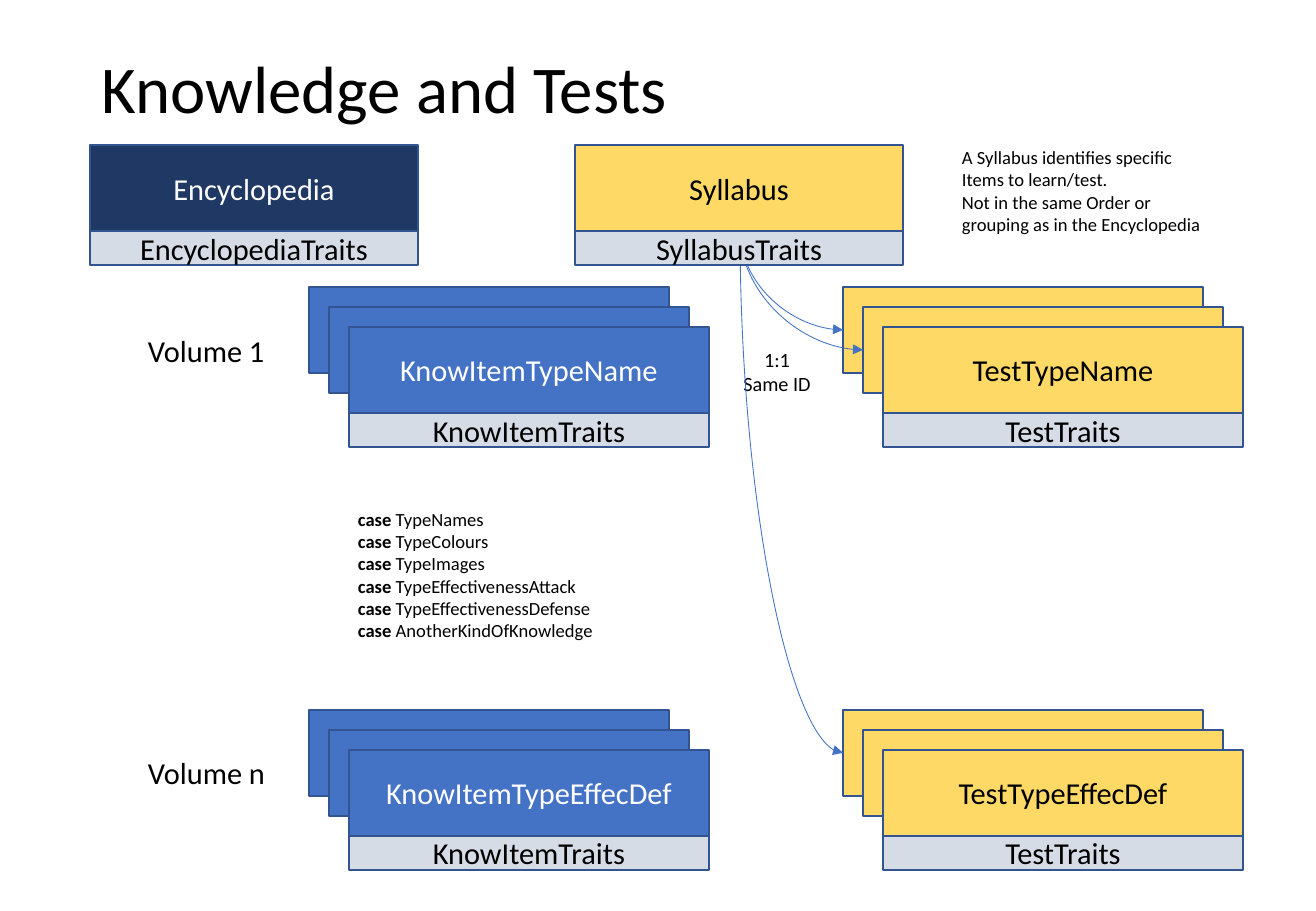
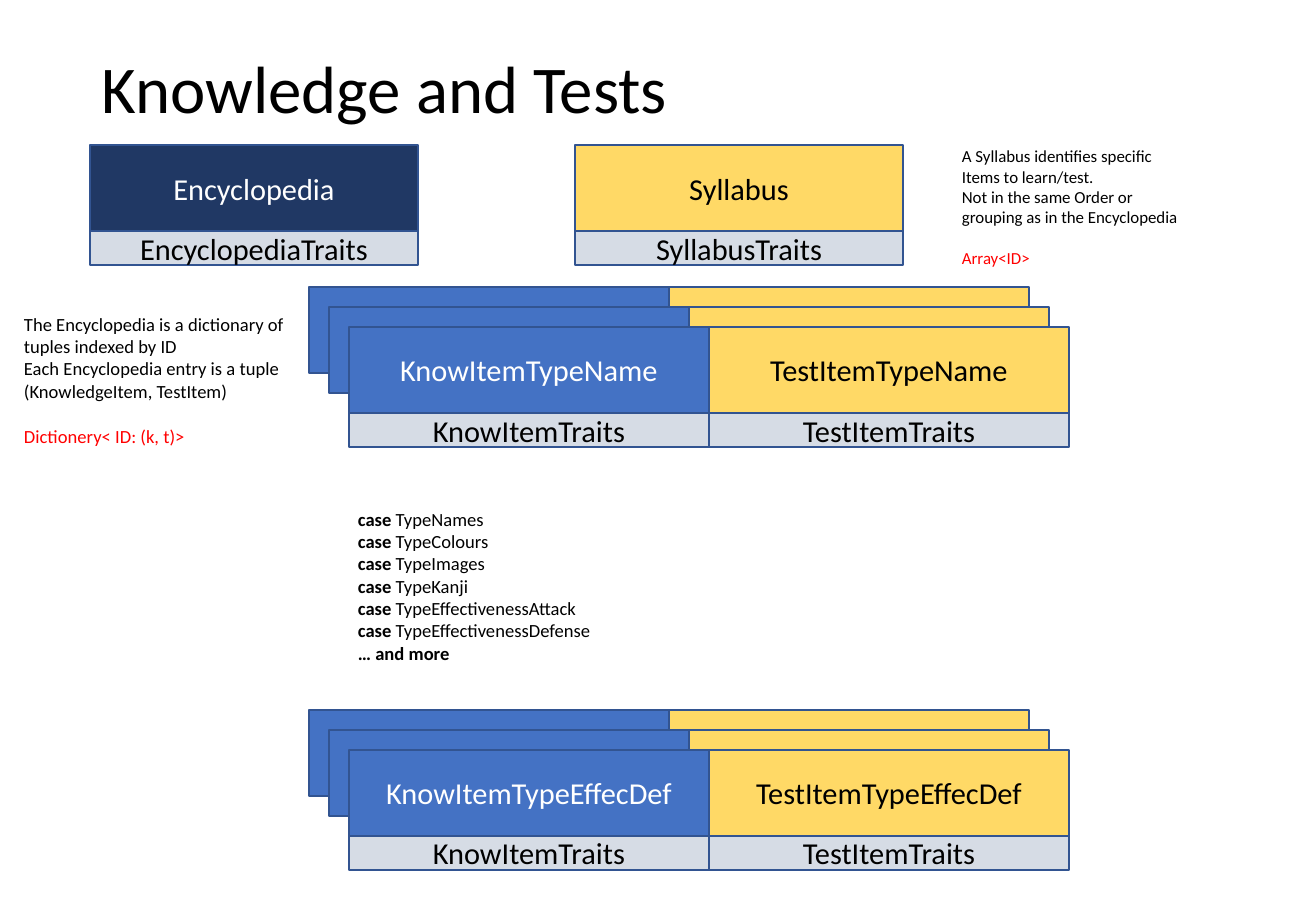
from pptx import Presentation
from pptx.dml.color import RGBColor
from pptx.enum.shapes import MSO_CONNECTOR, MSO_SHAPE
from pptx.enum.text import MSO_ANCHOR as ANCHOR, MSO_AUTO_SIZE as AUTO, PP_ALIGN as ALIGN
from pptx.oxml.ns import qn
from pptx.util import Emu, Pt
from lxml.etree import SubElement

PX = 914400 / 121.5
COLORS = {
    "navy": "203864", "blue": "4472C4", "yellow": "FFD966", "band": "D6DCE5",
    "outline": "325491", "white": "FFFFFF", "black": "000000", "red": "FF0000",
}
RGB = {name: RGBColor.from_string(value) for name, value in COLORS.items()}
CARD_H, BAND_H, STEP = 86, 34, 20
STACK_W, TOP_W = 360, 328
KNOW_X = 309
ROW_TOPS = [287, 710]
CARD_TOP = 145


def write(frame, lines, size=18, color="black", align=None):
    for number, line in enumerate(lines):
        paragraph = frame.paragraphs[0] if number == 0 else frame.add_paragraph()
        paragraph.alignment = align
        for text, bold in ([(line, False)] if isinstance(line, str) else line):
            run = paragraph.add_run()
            run.text = text
            for key, value in {"name": "Calibri", "size": Pt(size), "bold": bold}.items():
                setattr(run.font, key, value)
            run.font.color.rgb = RGB[color]
    return frame.paragraphs


def add_box(slide, bounds, fill=None, lines=(), **text_format):
    box = [Emu(round(length * PX)) for length in bounds]
    if fill:
        shape = slide.shapes.add_shape(MSO_SHAPE.RECTANGLE, *box)
        shape.shadow.inherit = False
        shape.fill.solid()
        shape.fill.fore_color.rgb = RGB[fill]
        shape.line.color.rgb = RGB["outline"]
        shape.line.width = Pt(1)
        text_format["align"] = ALIGN.CENTER
    else:
        shape = slide.shapes.add_textbox(*box)
        frame_format = {"word_wrap": False, "auto_size": AUTO.SHAPE_TO_FIT_TEXT}
        for key, value in frame_format.items():
            setattr(shape.text_frame, key, value)
    write(shape.text_frame, lines, **text_format)
    return shape.text_frame


syllabus_note = [
    "A Syllabus identifies specific", "Items to learn/test.",
    "Not in the same Order or", "grouping as in the Encyclopedia",
]
encyclopedia_note = [
    "The Encyclopedia is a dictionary of", "tuples indexed by ID",
    "Each Encyclopedia entry is a tuple", "(KnowledgeItem, TestItem)",
]
pages = [
    {
        "test_x": 843,
        "tests": ["TestTypeName", "TestTypeEffecDef"],
        "test_traits": "TestTraits",
        "cases": ["TypeNames", "TypeColours", "TypeImages", "TypeEffectivenessAttack",
                  "TypeEffectivenessDefense", "AnotherKindOfKnowledge"],
        "closing": [],
        "labels": [
            ((136, 326, 142, 49), ["Volume 1"], 18, None),
            ((136, 748, 143, 49), ["Volume n"], 18, None),
            ((731, 341, 92, 61), ["1:1", "Same ID"], 12, ALIGN.CENTER),
        ],
        "notes": [((950, 140, 264, 102), syllabus_note, None, 11)],
        "arrow_targets": [(0, 0), (1, 0), (0, 2)],
    },
    {
        "test_x": KNOW_X + STACK_W,
        "tests": ["TestItemTypeName", "TestItemTypeEffecDef"],
        "test_traits": "TestItemTraits",
        "cases": ["TypeNames", "TypeColours", "TypeImages", "TypeKanji",
                  "TypeEffectivenessAttack", "TypeEffectivenessDefense"],
        "closing": [[("… and more", True)]],
        "labels": [],
        "notes": [
            ((950, 140, 243, 135), syllabus_note, "Array<ID>", 10),
            ((12, 307, 290, 170), encyclopedia_note, "Dictionery< ID: (k, t)>", 11),
        ],
        "arrow_targets": [],
    },
]

deck = Presentation()
deck.slide_width, deck.slide_height = Emu(round(1316 * PX)), Emu(round(911.25 * PX))

for page in pages:
    slide = deck.slides.add_slide(deck.slide_layouts[6])

    title = add_box(slide, (90, 49, 1135, CARD_H), lines=["Knowledge and Tests"], size=39.6)
    title_format = {"auto_size": AUTO.NONE, "word_wrap": True, "vertical_anchor": ANCHOR.MIDDLE}
    for key, value in title_format.items():
        setattr(title, key, value)
    title.paragraphs[0].line_spacing = 0.9

    stacks = [
        (page["test_x"], page["tests"], page["test_traits"], "yellow", "black"),
        (KNOW_X, ["KnowItemTypeName", "KnowItemTypeEffecDef"], "KnowItemTraits", "blue", "white"),
    ]
    for stack_x, names, traits, fill, ink in stacks:
        for row_top, name in zip(ROW_TOPS, names):
            for level in range(3):
                x, y = stack_x + level * STEP, row_top + level * STEP
                add_box(slide, (x, y, STACK_W, CARD_H), fill, [name] if level == 2 else [], color=ink)
            add_box(slide, (x, y + CARD_H, STACK_W, BAND_H), "band", [traits])

    case_lines = [[("case ", True), (case, False)] for case in page["cases"]] + page["closing"]
    cases = add_box(slide, (329, 502, 280, 22.3 * len(case_lines) + 12), lines=case_lines, size=11)
    for paragraph in cases.paragraphs:
        paragraph._p.get_or_add_pPr().set("marL", str(Pt(10)))

    for bounds, lines, size, align in page["labels"]:
        add_box(slide, bounds, lines=lines, size=size, align=align)

    start_x, start_y = 740, CARD_TOP + CARD_H
    for level, row in page["arrow_targets"]:
        end_x = page["test_x"] + level * STEP
        end_y = ROW_TOPS[row // 2] + level * STEP + CARD_H / 2
        run_x, drop = end_x - start_x, end_y - start_y
        arrow = slide.shapes.add_connector(MSO_CONNECTOR.CURVE, 0, 0, 0, 0)
        placement = {
            "left": (start_x + end_x - drop) / 2, "top": (start_y + end_y - run_x) / 2,
            "width": drop, "height": run_x,
        }
        for key, value in placement.items():
            setattr(arrow, key, Emu(round(value * PX)))
        arrow.line.color.rgb = RGB["blue"]
        arrow.line.width = Pt(0.5)
        properties = arrow._element.spPr
        frame = properties.find(qn("a:xfrm"))
        frame.set("rot", "16200000")
        frame.set("flipH", "1")
        properties.find(qn("a:prstGeom")).set("prst", "curvedConnector2")
        SubElement(properties.find(qn("a:ln")), qn("a:tailEnd")).set("type", "triangle")
        SubElement(properties, qn("a:effectLst"))

    top_cards = [
        (90, "Encyclopedia", "navy", "white"),
        (575, "Syllabus", "yellow", "black"),
    ]
    for x, name, fill, ink in top_cards:
        add_box(slide, (x, CARD_TOP, TOP_W, CARD_H), fill, [name], color=ink)
        add_box(slide, (x, CARD_TOP + CARD_H, TOP_W, BAND_H), "band", [name + "Traits"])

    for bounds, lines, signature, size in page["notes"]:
        note = add_box(slide, bounds, lines=lines + ([signature] if signature else []), size=size)
        if signature:
            note.paragraphs[-1].space_before = Pt(size * 1.22)
            note.paragraphs[-1].runs[0].font.color.rgb = RGB["red"]

deck.save("out.pptx")
